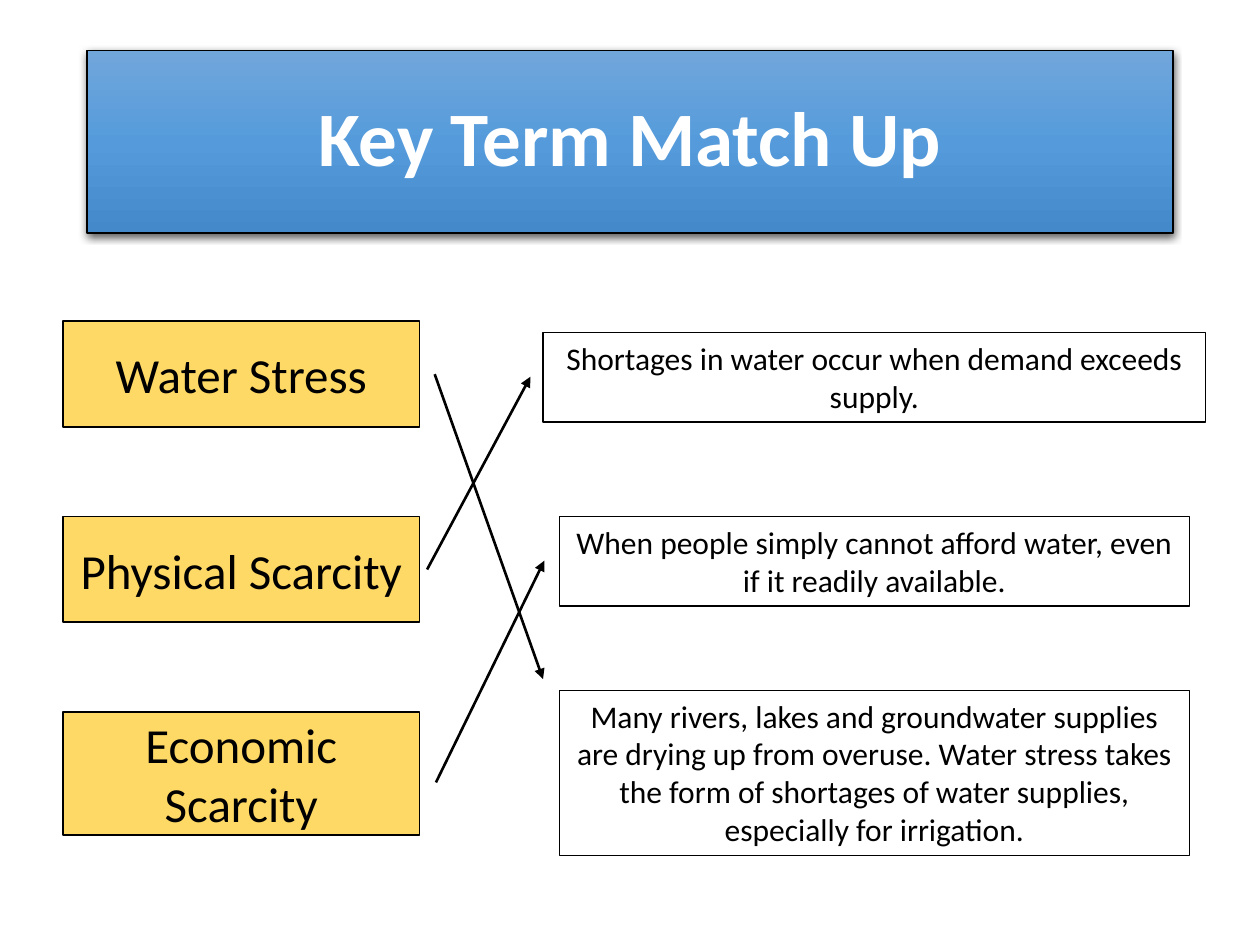
from copy import deepcopy

from lxml.etree import SubElement
from pptx import Presentation
from pptx.dml.color import RGBColor
from pptx.enum.shapes import MSO_CONNECTOR, MSO_SHAPE
from pptx.enum.text import MSO_ANCHOR, MSO_AUTO_SIZE, PP_ALIGN
from pptx.oxml.ns import qn
from pptx.util import Inches, Pt

COLORS = {"ink": "000000", "white": "FFFFFF", "term": "FFD966"}
BLUES = [(0, "71A6DB"), (0.5, "559BDB"), (1, "448ACA")]

TERMS = [
    ("Water Stress", 0.84),
    ("Physical Scarcity", 0.84),
    ("Economic Scarcity", 0.98),
]
MEANINGS = [
    ("Shortages in water occur when demand exceeds supply.",
     (4.31, 2.64, 5.26, 0.71)),
    ("When people simply cannot afford water, even if it readily available.",
     (4.44, 4.1, 5, 0.71)),
    ("Many rivers, lakes and groundwater supplies are drying up from overuse. "
     "Water stress takes the form of shortages of water supplies, "
     "especially for irrigation.",
     (4.44, 5.48, 5, 1.31)),
]
ARROWS = [
    (3.45, 2.97, 4.31, 5.39),
    (3.39, 4.52, 4.21, 2.99),
    (3.46, 6.21, 4.32, 4.45),
]


def color(name):
    return RGBColor.from_string(COLORS[name])


def outline(shape, width):
    shape.line.color.rgb = color("ink")
    shape.line.width = Pt(width)


def write(shape, text, size, ink="ink", bold=False):
    frame = shape.text_frame
    frame.word_wrap = True
    para = frame.paragraphs[0]
    para.alignment = PP_ALIGN.CENTER
    run = para.add_run()
    run.text = text
    font = run.font
    font.name = "Calibri"
    font.size = Pt(size)
    font.bold = bold
    font.color.rgb = color(ink)
    return frame


def shade(shape):
    """Fill with the blue gradient, light at the top."""
    fill = shape.fill
    fill.gradient()
    fill.gradient_angle = 270
    stops = shape.element.spPr.find(qn("a:gradFill")).find(qn("a:gsLst"))
    stops.insert(1, deepcopy(stops[0]))
    for stop, (place, blue) in zip(fill.gradient_stops, BLUES):
        stop.position = place
        stop.color.rgb = RGBColor.from_string(blue)


def cast(shape):
    """Add a soft shadow below the shape."""
    effects = SubElement(shape.element.spPr, qn("a:effectLst"))
    shadow = SubElement(
        effects, qn("a:outerShdw"), blurRad=str(Pt(4.5)), dist=str(Pt(1.5)),
        dir="5400000", algn="ctr", rotWithShape="0")
    tint = SubElement(shadow, qn("a:srgbClr"), val=COLORS["ink"])
    SubElement(tint, qn("a:alpha"), val="63000")


def add_title(slide, text):
    title = slide.shapes.title
    title.left, title.top = Inches(0.69), Inches(0.4)
    title.width, title.height = Inches(8.62), Inches(1.45)
    shade(title)
    outline(title, 1)
    cast(title)
    frame = write(title, text, 44, "white", True)
    frame.vertical_anchor = MSO_ANCHOR.MIDDLE
    frame.paragraphs[0].line_spacing = 0.9


def add_term(slide, text, top, height):
    box = slide.shapes.add_shape(
        MSO_SHAPE.RECTANGLE, Inches(0.5), Inches(top),
        Inches(2.83), Inches(height))
    box.shadow.inherit = False
    box.fill.solid()
    box.fill.fore_color.rgb = color("term")
    outline(box, 1)
    write(box, text, 28).vertical_anchor = MSO_ANCHOR.MIDDLE


def add_meaning(slide, text, place):
    box = slide.shapes.add_textbox(*map(Inches, place))
    outline(box, 0.75)
    write(box, text, 18).auto_size = MSO_AUTO_SIZE.SHAPE_TO_FIT_TEXT


def add_arrow(slide, ends):
    arrow = slide.shapes.add_connector(
        MSO_CONNECTOR.STRAIGHT, *map(Inches, ends))
    outline(arrow, 1.5)
    SubElement(arrow.line._get_or_add_ln(), qn("a:tailEnd"), type="triangle")
    SubElement(arrow._element.spPr, qn("a:effectLst"))


def main():
    deck = Presentation()
    deck.slide_width, deck.slide_height = Inches(10), Inches(7.5)
    slide = deck.slides.add_slide(deck.slide_layouts[5])
    add_title(slide, "Key Term Match Up")
    for row, (text, height) in enumerate(TERMS):
        add_term(slide, text, 2.55 + 1.55 * row, height)
    for text, place in MEANINGS:
        add_meaning(slide, text, place)
    for ends in ARROWS:
        add_arrow(slide, ends)
    deck.save("out.pptx")


if __name__ == "__main__":
    main()
